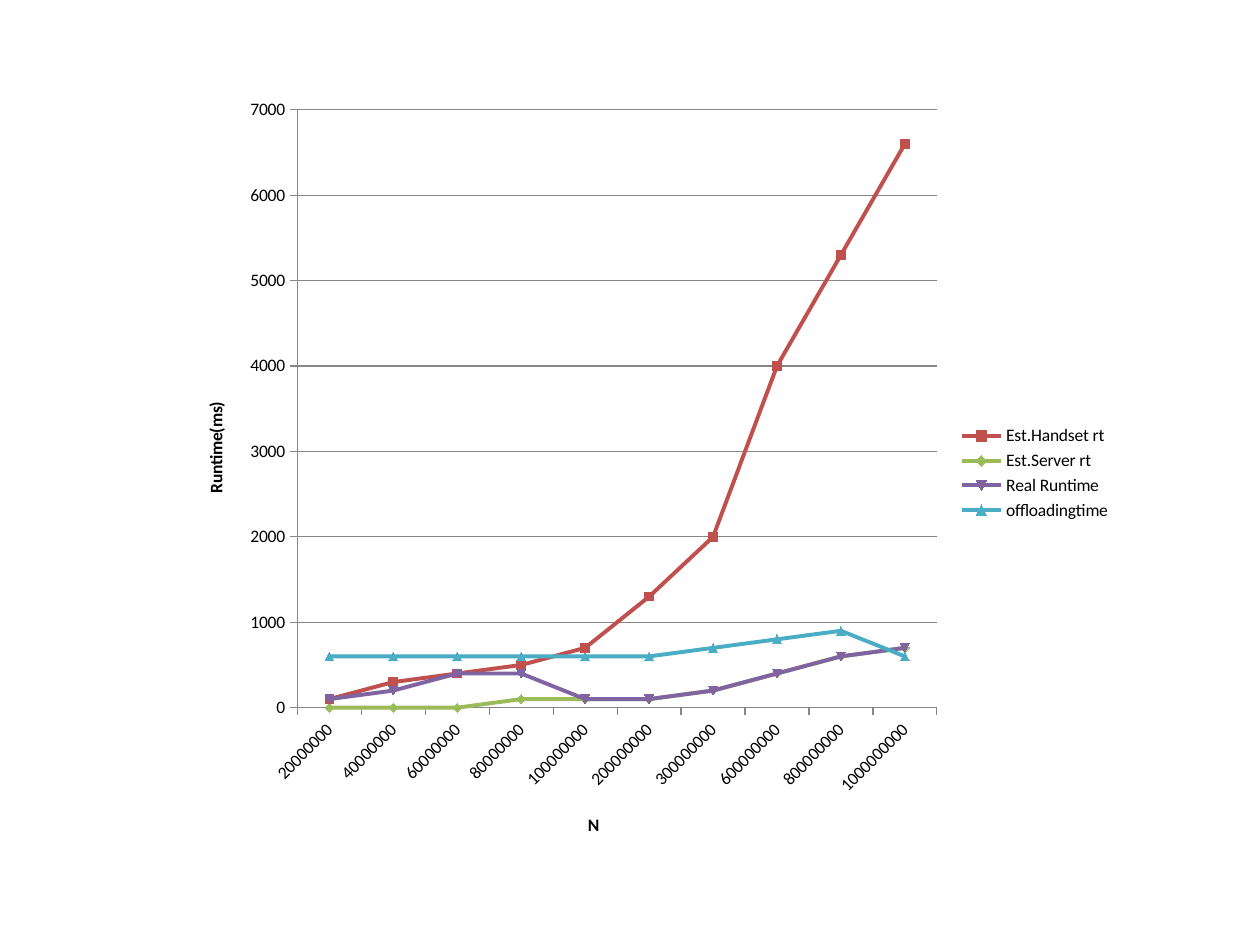
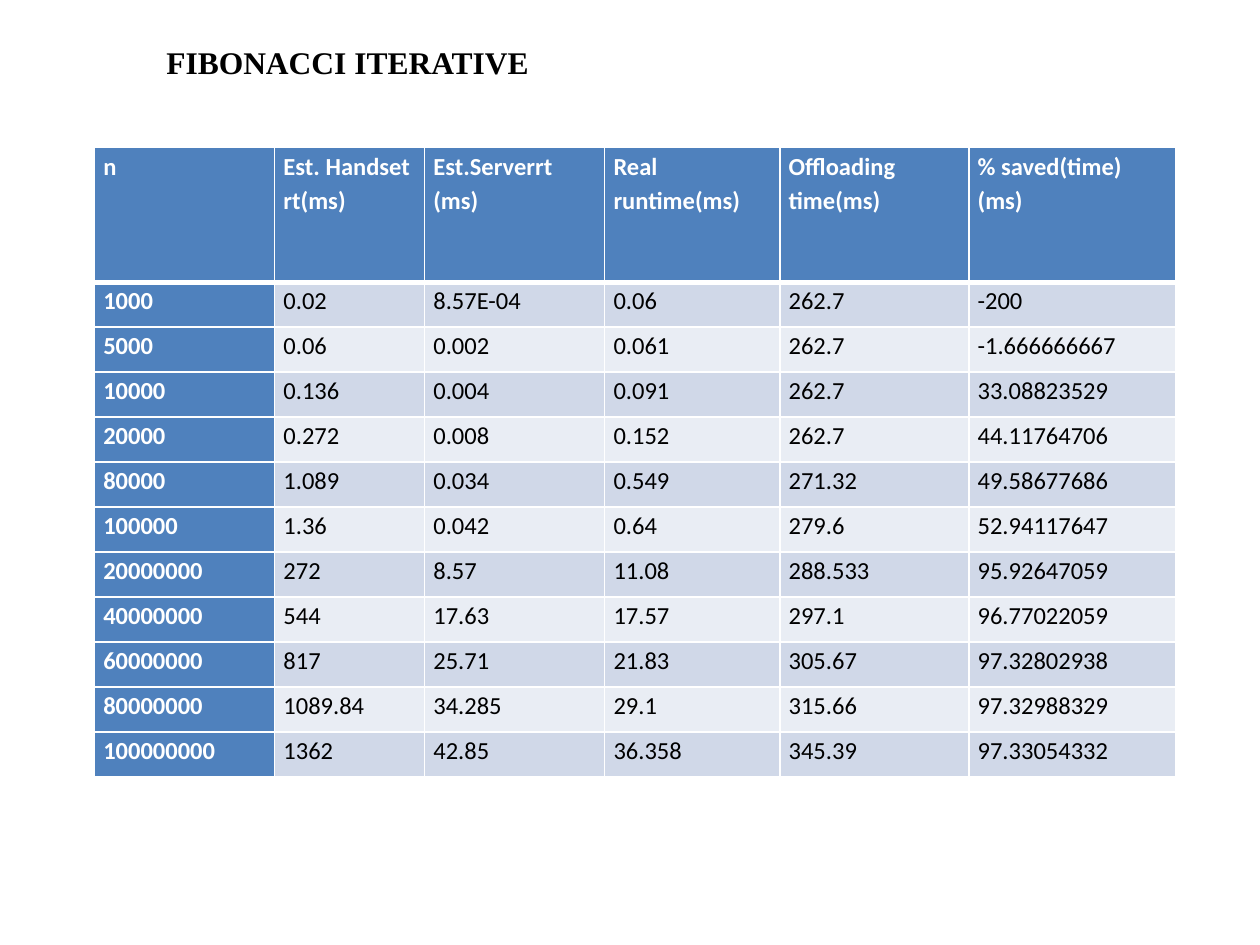
from lxml import etree
from pptx import Presentation
from pptx.chart.data import CategoryChartData
from pptx.dml.color import RGBColor
from pptx.enum.chart import XL_CHART_TYPE, XL_LEGEND_POSITION, XL_TICK_MARK
from pptx.enum.text import MSO_ANCHOR, PP_ALIGN
from pptx.oxml.ns import qn
from pptx.util import Inches, Pt

LINE_MARKERS = XL_CHART_TYPE.LINE_MARKERS
LEGEND_RIGHT = XL_LEGEND_POSITION.RIGHT
TICK_OUTSIDE = XL_TICK_MARK.OUTSIDE
ANCHOR_TOP = MSO_ANCHOR.TOP
ALIGN_LEFT = PP_ALIGN.LEFT

BODY_FONT = "Calibri"
TITLE_FONT = "Times New Roman"
BLACK, WHITE = "000000", "FFFFFF"
AXIS_GREY = "868686"
HEADER_BLUE = "4F81BD"
BANDS = ("D0D8E8", "E9EDF4")
TITLE_ONLY, BLANK = 5, 6

SIZES_N = ["20000000", "40000000", "60000000", "80000000", "100000000",
           "200000000", "300000000", "600000000", "800000000", "1000000000"]
RUNTIMES = [
    ("Est.Handset rt", "C0504D",
     (100, 300, 400, 500, 700, 1300, 2000, 4000, 5300, 6600)),
    ("Est.Server rt", "9BBB59",
     (0, 0, 0, 100, 100, 100, 200, 400, 600, 700)),
    ("Real Runtime", "8064A2",
     (100, 200, 400, 400, 100, 100, 200, 400, 600, 700)),
    ("offloadingtime", "4BACC6",
     (600, 600, 600, 600, 600, 600, 700, 800, 900, 600)),
]

COLUMN_WIDTHS = (1.43, 1.19, 1.43, 1.39, 1.5, 1.64)
TABLE_HEIGHT, HEADER_HEIGHT = 5, 1.07
FIBONACCI_ROWS = [
    ("n", "Est. Handset rt(ms)", "Est.Serverrt\n(ms)", "Real runtime(ms)",
     "Offloading time(ms)", "% saved(time)\n(ms)"),
    ("1000", "0.02", "8.57E-04", "0.06", "262.7", "-200"),
    ("5000", "0.06", "0.002", "0.061", "262.7", "-1.666666667"),
    ("10000", "0.136", "0.004", "0.091", "262.7", "33.08823529"),
    ("20000", "0.272", "0.008", "0.152", "262.7", "44.11764706"),
    ("80000", "1.089", "0.034", "0.549", "271.32", "49.58677686"),
    ("100000", "1.36", "0.042", "0.64", "279.6", "52.94117647"),
    ("20000000", "272", "8.57", "11.08", "288.533", "95.92647059"),
    ("40000000", "544", "17.63", "17.57", "297.1", "96.77022059"),
    ("60000000", "817", "25.71", "21.83", "305.67", "97.32802938"),
    ("80000000", "1089.84", "34.285", "29.1", "315.66", "97.32988329"),
    ("100000000", "1362", "42.85", "36.358", "345.39", "97.33054332"),
]


def rgb(value):
    return RGBColor.from_string(value)


def style_font(font, name, size, color, bold=False):
    font.name = name
    font.size = Pt(size)
    font.bold = bold
    font.color.rgb = rgb(color)


def paint(fill, color):
    fill.solid()
    fill.fore_color.rgb = rgb(color)


def stroke(line, color, width):
    paint(line.fill, color)
    line.width = Pt(width)


def add_title(slide, text):
    title = slide.shapes.title
    title.left, title.top = Inches(1.22), Inches(0.29)
    title.width, title.height = Inches(3.11), Inches(0.4)
    frame = title.text_frame
    frame.text = text
    frame.word_wrap = False
    frame.vertical_anchor = ANCHOR_TOP
    heading = frame.paragraphs[0]
    heading.alignment = ALIGN_LEFT
    style_font(heading.font, TITLE_FONT, 18, BLACK, True)


def style_axis(axis, title):
    frame = axis.axis_title.text_frame
    frame.text = title
    style_font(frame.paragraphs[0].font, BODY_FONT, 10, BLACK, True)
    style_font(axis.tick_labels.font, BODY_FONT, 10, BLACK)
    axis.major_tick_mark = TICK_OUTSIDE
    stroke(axis.format.line, AXIS_GREY, 0.75)


def add_runtime_chart(slide):
    runtimes = CategoryChartData(number_format="General")
    runtimes.categories = SIZES_N
    for name, _, values in RUNTIMES:
        runtimes.add_series(name, values)
    chart = slide.shapes.add_chart(
        LINE_MARKERS, Inches(1.42), Inches(0.67), Inches(7.5), Inches(6.17),
        runtimes).chart
    style_font(chart.font, BODY_FONT, 10, BLACK)
    chart.has_title = False
    chart.has_legend = True
    chart.legend.position = LEGEND_RIGHT
    chart.legend.include_in_layout = False

    style_axis(chart.category_axis, "N")
    style_axis(chart.value_axis, "Runtime(ms)")
    chart.value_axis.has_major_gridlines = True
    stroke(chart.value_axis.major_gridlines.format.line, AXIS_GREY, 0.75)

    chart.plots[0].vary_by_categories = False
    for series, (_, color, _) in zip(chart.plots[0].series, RUNTIMES):
        series.smooth = False
        stroke(series.format.line, color, 2.25)
        paint(series.marker.format.fill, color)
        stroke(series.marker.format.line, color, 0.75)


def set_borders(cell, top, bottom):
    properties = cell._tc.get_or_add_tcPr()
    for side, width in (("L", 1), ("R", 1), ("T", top), ("B", bottom)):
        border = etree.SubElement(properties, qn(f"a:ln{side}"), w=str(Pt(width)))
        fill = etree.SubElement(border, qn("a:solidFill"))
        etree.SubElement(fill, qn("a:srgbClr"), val=WHITE)


def fill_cell(cell, text, row, column):
    heading = row == 0 or column == 0
    set_borders(cell, 3 if row == 1 else 1, 3 if row == 0 else 1)
    paint(cell.fill, HEADER_BLUE if heading else BANDS[(row - 1) % 2])
    cell.margin_left = cell.margin_right = Inches(0.07)
    cell.margin_top = cell.margin_bottom = 0
    cell.text = text
    for paragraph in cell.text_frame.paragraphs:
        paragraph.line_spacing = 1.15
        style_font(paragraph.font, BODY_FONT, 14,
                   WHITE if heading else BLACK, heading)


def add_fibonacci_table(slide):
    table = slide.shapes.add_table(
        len(FIBONACCI_ROWS), len(COLUMN_WIDTHS), Inches(0.75), Inches(1.17),
        Inches(sum(COLUMN_WIDTHS)), Inches(TABLE_HEIGHT)).table
    table.first_col = True
    for column, width in zip(table.columns, COLUMN_WIDTHS):
        column.width = Inches(width)
    body_height = (TABLE_HEIGHT - HEADER_HEIGHT) / (len(FIBONACCI_ROWS) - 1)
    for row, texts in enumerate(FIBONACCI_ROWS):
        table.rows[row].height = Inches(body_height if row else HEADER_HEIGHT)
        for column, text in enumerate(texts):
            fill_cell(table.cell(row, column), text, row, column)


def main():
    deck = Presentation()
    deck.slide_width, deck.slide_height = Inches(10), Inches(7.5)
    add_runtime_chart(deck.slides.add_slide(deck.slide_layouts[BLANK]))
    fibonacci = deck.slides.add_slide(deck.slide_layouts[TITLE_ONLY])
    add_title(fibonacci, "FIBONACCI ITERATIVE")
    add_fibonacci_table(fibonacci)
    deck.save("out.pptx")


if __name__ == "__main__":
    main()
